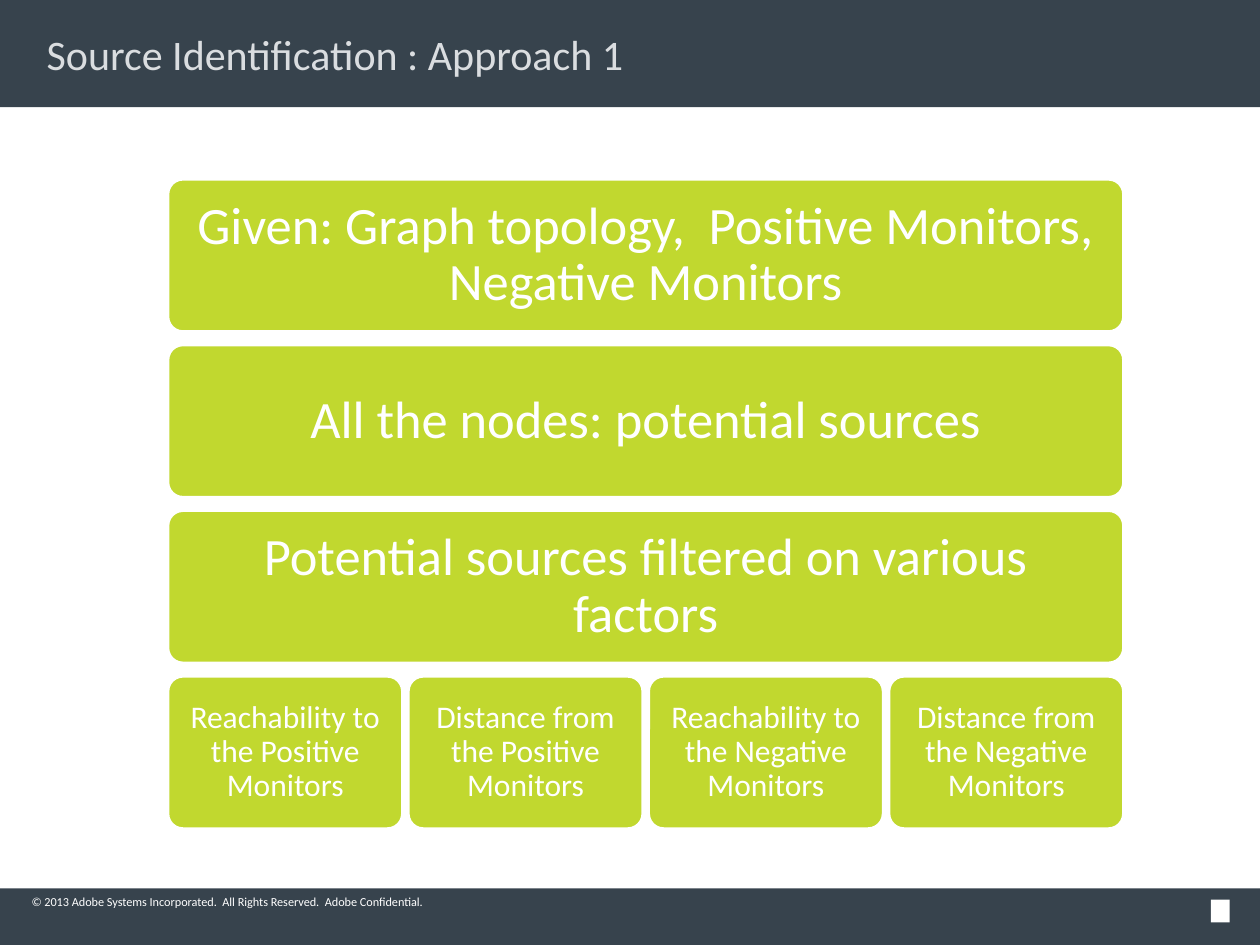
from dataclasses import dataclass

from pptx import Presentation
from pptx.dml.color import RGBColor
from pptx.enum.shapes import MSO_SHAPE
from pptx.enum.text import MSO_ANCHOR, PP_ALIGN
from pptx.util import Inches, Pt

RECTANGLE = MSO_SHAPE.RECTANGLE
ROUNDED = MSO_SHAPE.ROUNDED_RECTANGLE
MIDDLE = MSO_ANCHOR.MIDDLE
BOTTOM = MSO_ANCHOR.BOTTOM
CENTER = PP_ALIGN.CENTER


@dataclass(frozen=True)
class Theme:
    font: str = "Calibri"
    band: RGBColor = RGBColor(0x37, 0x43, 0x4D)
    title: RGBColor = RGBColor(0xDA, 0xDD, 0xE0)
    block: RGBColor = RGBColor(0xC1, 0xD8, 0x2F)
    white: RGBColor = RGBColor(0xFF, 0xFF, 0xFF)
    title_size: int = 24
    step_size: int = 30
    factor_size: int = 18
    footer_size: int = 7


@dataclass(frozen=True)
class Area:
    left: float
    top: float
    width: float
    height: float

    def lengths(self) -> list:
        return [Inches(v) for v in (self.left, self.top, self.width, self.height)]


@dataclass(frozen=True)
class Block:
    text: str
    area: Area
    size: int
    inset: float


THEME = Theme()
BLOCKS = Area(1.33, 1.42, 7.59, 5.16)
ROW_GAP, COLUMN_GAP = 0.1, 0.04
STEPS = [
    "Given: Graph topology,  Positive Monitors, Negative Monitors",
    "All the nodes: potential sources",
    "Potential sources filtered on various factors",
]
FACTORS = [
    f"{measure} the {kind} Monitors"
    for kind in ("Positive", "Negative")
    for measure in ("Reachability to", "Distance from")
]


def write(shape, text: str, size: int, color: RGBColor, anchor,
          inset_x: float, inset_y: float):
    frame = shape.text_frame
    frame.word_wrap = True
    frame.vertical_anchor = anchor
    frame.margin_left = frame.margin_right = Inches(inset_x)
    frame.margin_top = frame.margin_bottom = Inches(inset_y)
    para = frame.paragraphs[0]
    para.text = text
    para.font.name = THEME.font
    para.font.size = Pt(size)
    para.font.color.rgb = color
    return para


def draw_shape(page, kind, area: Area, color: RGBColor):
    shape = page.shapes.add_shape(kind, *area.lengths())
    shape.shadow.inherit = False
    shape.fill.solid()
    shape.fill.fore_color.rgb = color
    shape.line.fill.background()
    return shape


def draw_block(page, block: Block) -> None:
    box = draw_shape(page, ROUNDED, block.area, THEME.block)
    box.adjustments[0] = 0.1
    box.line.color.rgb = THEME.white
    box.line.width = Pt(2)
    para = write(box, block.text, block.size, THEME.white, MIDDLE,
                 block.inset, block.inset)
    para.alignment = CENTER
    para.line_spacing = 0.9


def layout_blocks() -> list[Block]:
    rows, columns = len(STEPS) + 1, len(FACTORS)
    height = (BLOCKS.height - (rows - 1) * ROW_GAP) / rows
    width = (BLOCKS.width - (columns - 1) * COLUMN_GAP) / columns
    tops = [BLOCKS.top + row * (height + ROW_GAP) for row in range(rows)]
    steps = [
        Block(text, Area(BLOCKS.left, top, BLOCKS.width, height),
              THEME.step_size, 0.15)
        for text, top in zip(STEPS, tops)
    ]
    factors = [
        Block(text, Area(BLOCKS.left + column * (width + COLUMN_GAP),
                         tops[-1], width, height),
              THEME.factor_size, 0.11)
        for column, text in enumerate(FACTORS)
    ]
    return steps + factors


def main() -> None:
    deck = Presentation()
    deck.slide_width, deck.slide_height = Inches(10), Inches(7.5)
    page = deck.slides.add_slide(deck.slide_layouts[6])

    draw_shape(page, RECTANGLE, Area(0, 0, 10, 0.85), THEME.band)
    draw_shape(page, RECTANGLE, Area(0, 7.05, 10, 0.45), THEME.band)

    footer = page.shapes.add_textbox(*Area(0.25, 7.09, 4.25, 0.12).lengths())
    write(footer, "© 2013 Adobe Systems Incorporated.  All Rights Reserved.  Adobe Confidential.",
          THEME.footer_size, THEME.white, BOTTOM, 0, 0)
    draw_shape(page, RECTANGLE, Area(9.61, 7.14, 0.15, 0.18), THEME.white)

    title = page.shapes.add_textbox(*Area(0.25, 0.2, 9.5, 0.45).lengths())
    write(title, "Source Identification : Approach 1",
          THEME.title_size, THEME.title, MIDDLE, 0.12, 0.06)

    for block in layout_blocks():
        draw_block(page, block)

    deck.save("out.pptx")


if __name__ == "__main__":
    main()
